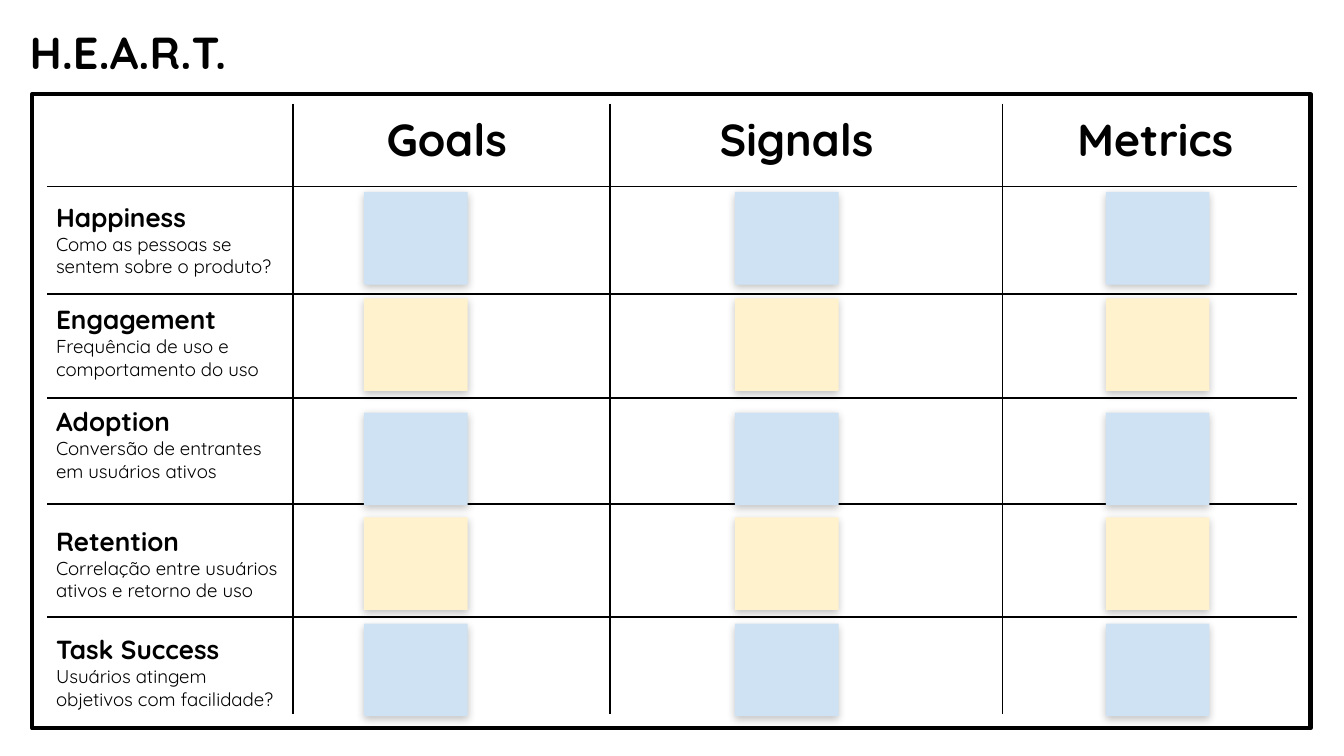
"""Build the H.E.A.R.T. framework slide: goals, signals and metrics per dimension."""
from lxml import etree
from pptx import Presentation
from pptx.dml.color import RGBColor
from pptx.enum.shapes import MSO_CONNECTOR, MSO_SHAPE
from pptx.enum.text import MSO_ANCHOR, PP_ALIGN
from pptx.oxml.ns import qn
from pptx.util import Cm, Pt

STRAIGHT = MSO_CONNECTOR.STRAIGHT
RECTANGLE = MSO_SHAPE.RECTANGLE
MIDDLE, TOP = MSO_ANCHOR.MIDDLE, MSO_ANCHOR.TOP
LEFT, CENTER = PP_ALIGN.LEFT, PP_ALIGN.CENTER

TITLE = "H.E.A.R.T."
COLUMNS = [
    {"name": "Goals", "divider": 5.54, "left": 5.84},
    {"name": "Signals", "divider": 11.53, "left": 12.45},
    {"name": "Metrics", "divider": 18.95, "left": 19.23},
]
ROWS = [
    {"name": "Happiness", "question": "Como as pessoas se sentem sobre o produto?",
     "rule": 3.53, "label": 3.56, "note": 3.63},
    {"name": "Engagement", "question": "Frequência de uso e comportamento do uso",
     "rule": 5.56, "label": 5.49, "note": 5.64},
    {"name": "Adoption", "question": "Conversão de entrantes em usuários ativos",
     "rule": 7.52, "label": 7.42, "note": 7.8},
    {"name": "Retention", "question": "Correlação entre usuários ativos e retorno de uso",
     "rule": 9.53, "label": 9.68, "note": 9.78},
    {"name": "Task Success", "question": "Usuários atingem objetivos com facilidade?",
     "rule": 11.66, "label": 11.73, "note": 11.79},
]
THEME = {
    "font": "Quicksand",
    "ink": RGBColor(0, 0, 0),
    "notes": [RGBColor.from_string("CFE2F3"), RGBColor.from_string("FFF2CC")],
    "heading": 24, "name": 14, "question": 10,
    "frame": 2.25, "rule": 0.75,
}
GRID_LEFT, GRID_RIGHT, GRID_TOP, GRID_BOTTOM = 0.89, 24.51, 1.96, 13.49
NOTE_LEFT, NOTE_STEP, NOTE_WIDTH, NOTE_HEIGHT = 6.88, 7.01, 1.96, 1.75


def write(box, lines, inset, anchor=TOP, align=LEFT, spacing=1.0):
    """Fill a text shape with (text, size, bold) lines."""
    frame = box.text_frame
    frame.word_wrap = True
    frame.vertical_anchor = anchor
    frame.margin_left = frame.margin_right = Cm(inset)
    frame.margin_top = frame.margin_bottom = Cm(inset)
    frame.text = "\n".join(text for text, _, _ in lines)
    for para, (_, size, bold) in zip(frame.paragraphs, lines):
        para.alignment = align
        para.line_spacing = spacing
        for span in para.runs:
            span.font.name = THEME["font"]
            span.font.size = Pt(size)
            span.font.bold = bold
            span.font.color.rgb = THEME["ink"]


def draw_rule(page, x1, y1, x2, y2):
    """Draw one thin grid line."""
    rule = page.shapes.add_connector(STRAIGHT, Cm(x1), Cm(y1), Cm(x2), Cm(y2))
    rule.line.color.rgb = THEME["ink"]
    rule.line.width = Pt(THEME["rule"])
    etree.SubElement(rule._element.spPr, qn("a:effectLst"))


def draw_frame(page):
    """Draw the thick border around the grid."""
    frame = page.shapes.add_shape(RECTANGLE, Cm(0.61), Cm(1.78), Cm(24.16), Cm(11.99))
    frame.fill.background()
    frame.line.color.rgb = THEME["ink"]
    frame.line.width = Pt(THEME["frame"])
    frame.shadow.inherit = False


def draw_note(page, left, top, color):
    """Draw one sticky note with a soft shadow below it."""
    note = page.shapes.add_shape(RECTANGLE, Cm(left), Cm(top), Cm(NOTE_WIDTH), Cm(NOTE_HEIGHT))
    note.fill.solid()
    note.fill.fore_color.rgb = color
    note.line.fill.background()
    note.shadow.inherit = False
    effects = note._element.spPr.find(qn("a:effectLst"))
    shadow = etree.SubElement(effects, qn("a:outerShdw"), blurRad=str(Pt(4.5)),
                              dist=str(Pt(1.5)), dir="5400000", algn="bl", rotWithShape="0")
    tint = etree.SubElement(shadow, qn("a:srgbClr"), val=str(THEME["ink"]))
    etree.SubElement(tint, qn("a:alpha"), val="24000")


def main():
    deck = Presentation()
    deck.slide_width, deck.slide_height = Cm(25.4), Cm(14.29)
    page = deck.slides.add_slide(deck.slide_layouts[5])

    title = page.shapes.title
    title.left, title.top, title.width, title.height = Cm(0.46), Cm(0.41), Cm(21.29), Cm(1.14)
    write(title, [(TITLE, THEME["heading"], True)], 0.1, anchor=MIDDLE)

    draw_frame(page)
    for column in COLUMNS:
        draw_rule(page, column["divider"], GRID_TOP, column["divider"], GRID_BOTTOM)
        box = page.shapes.add_textbox(Cm(column["left"]), Cm(2.06), Cm(5.21), Cm(1.14))
        write(box, [(column["name"], THEME["heading"], True)], 0.25, align=CENTER, spacing=0.8)

    for row in ROWS:
        draw_rule(page, GRID_RIGHT, row["rule"], GRID_LEFT, row["rule"])
        box = page.shapes.add_textbox(Cm(0.81), Cm(row["label"]), Cm(4.72), Cm(1.4))
        write(box, [(row["name"], THEME["name"], True),
                    (row["question"], THEME["question"], False)], 0.25)

    for index, row in enumerate(ROWS):
        color = THEME["notes"][index % len(THEME["notes"])]
        for position in range(len(COLUMNS)):
            draw_note(page, NOTE_LEFT + position * NOTE_STEP, row["note"], color)

    deck.save("out.pptx")


if __name__ == "__main__":
    main()
